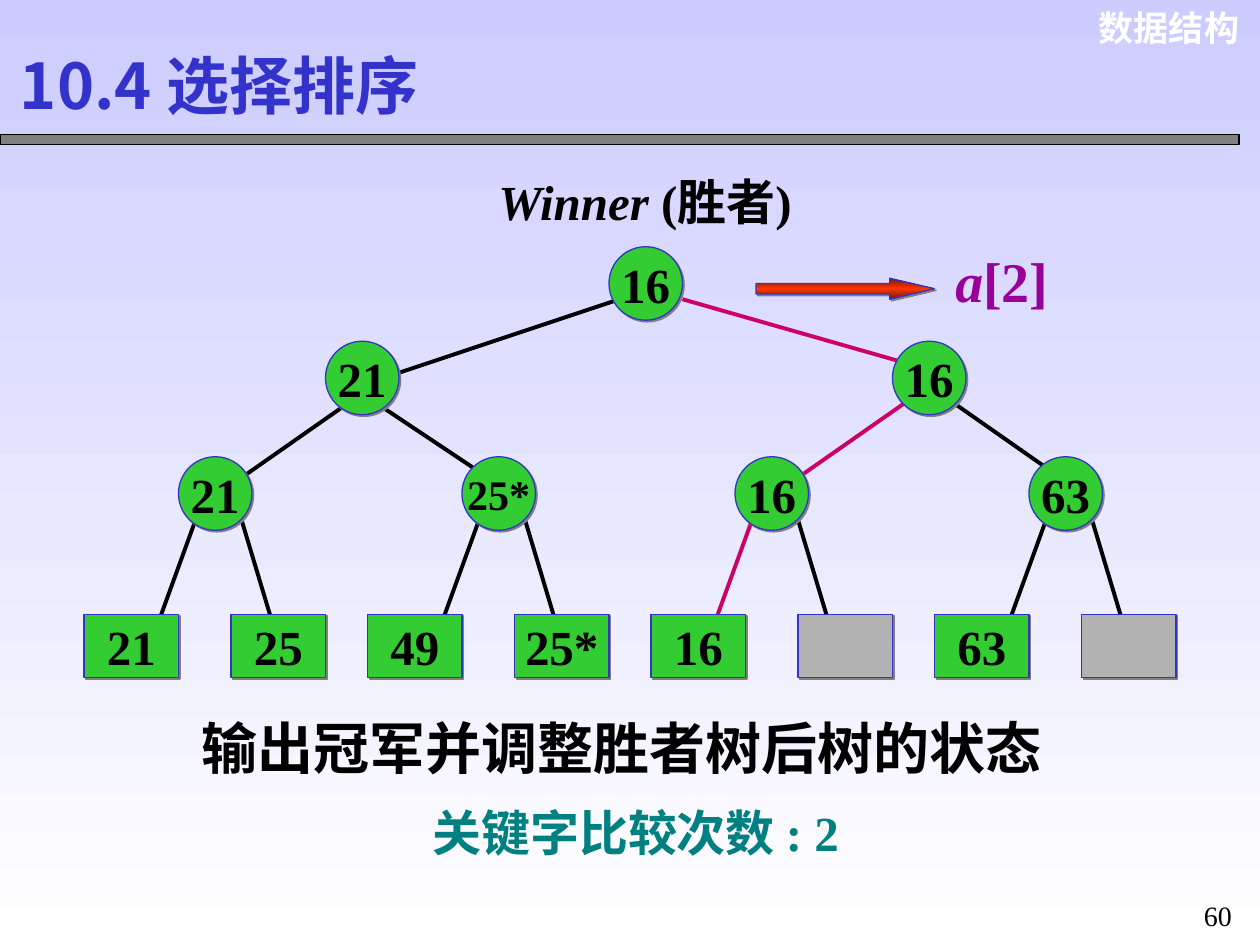
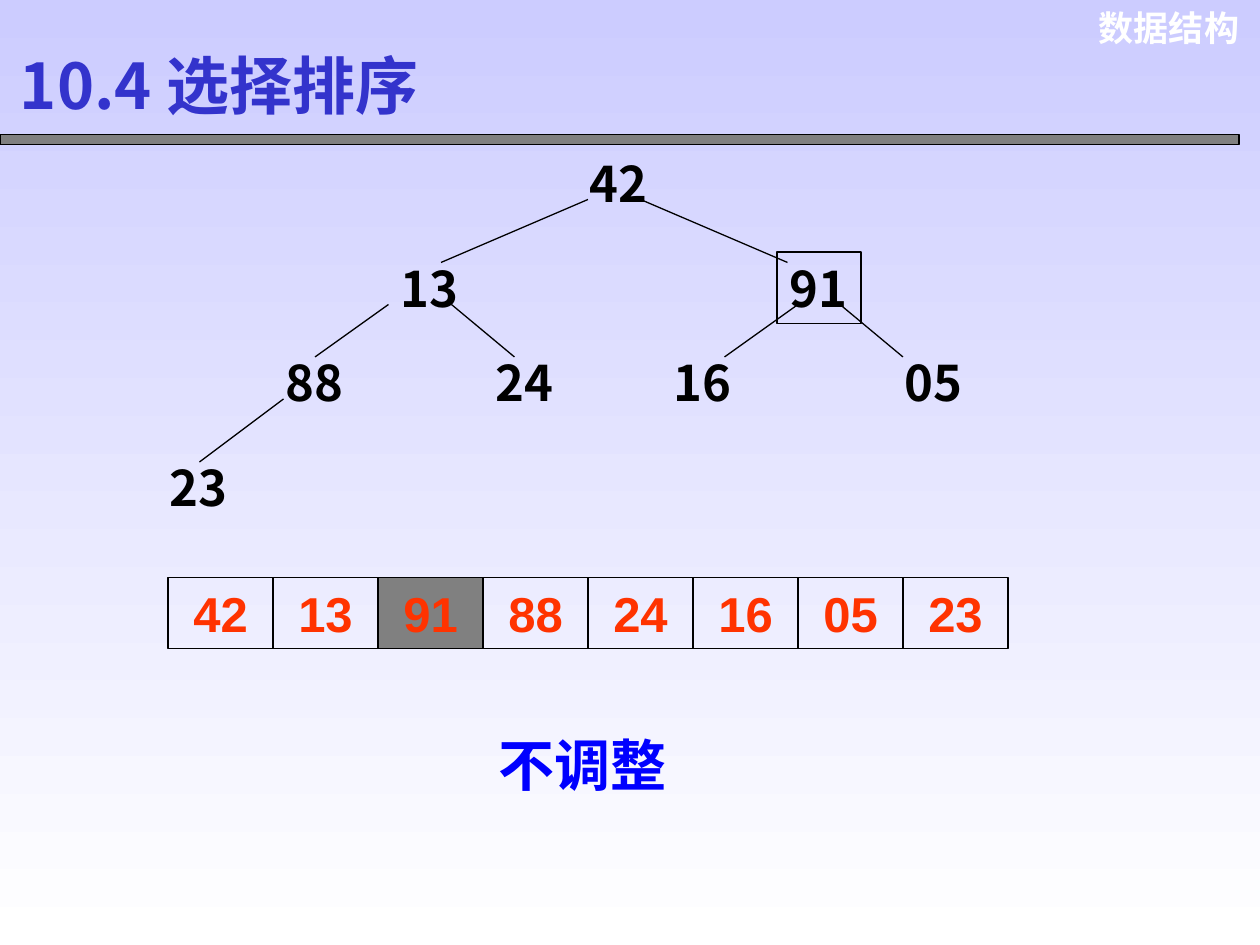
from copy import deepcopy
from dataclasses import dataclass

from lxml import etree
from pptx import Presentation
from pptx.dml.color import RGBColor
from pptx.enum.shapes import MSO_CONNECTOR, MSO_SHAPE
from pptx.enum.text import MSO_ANCHOR, MSO_AUTO_SIZE, PP_ALIGN
from pptx.oxml.ns import qn
from pptx.util import Pt

EMU_PER_PX = 7620
STRAIGHT = MSO_CONNECTOR.STRAIGHT
RECTANGLE, OVAL, RIGHT_ARROW = MSO_SHAPE.RECTANGLE, MSO_SHAPE.OVAL, MSO_SHAPE.RIGHT_ARROW
LEFT, CENTER, RIGHT = PP_ALIGN.LEFT, PP_ALIGN.CENTER, PP_ALIGN.RIGHT
TOP, MIDDLE = MSO_ANCHOR.TOP, MSO_ANCHOR.MIDDLE
FIXED_SIZE = MSO_AUTO_SIZE.NONE


@dataclass(frozen=True)
class Theme:
    black: str = "000000"
    white: str = "FFFFFF"
    sky: str = "CCCCFF"
    gray: str = "808080"
    empty_leaf: str = "B2B2B2"
    indigo: str = "3333CC"
    green: str = "33CC33"
    crimson: str = "CC0066"
    purple: str = "990099"
    teal: str = "008080"
    blue: str = "0000FF"
    scarlet: str = "FF3300"
    dark_red: str = "761800"
    sans: str = "Noto Sans CJK SC"
    serif: str = "Times New Roman"
    arial: str = "Arial"
    title_size: int = 36
    caption_size: int = 32
    body_size: int = 28
    small_size: int = 24
    header_size: int = 20
    page_size: int = 16
    thin: float = 0.75
    thick: float = 2.25


THEME = Theme()


@dataclass(frozen=True)
class Box:
    left: int
    top: int
    width: int
    height: int


@dataclass(frozen=True)
class Style:
    size: int = THEME.body_size
    font: str = THEME.serif
    color: str = THEME.black
    bold: bool = True
    align: PP_ALIGN = LEFT
    anchor: MSO_ANCHOR = TOP
    wrap: bool = False


@dataclass(frozen=True)
class Label:
    box: Box
    text: str
    style: Style
    italic_prefix: str = ""


@dataclass(frozen=True)
class Branch:
    start: tuple[int, int]
    end: tuple[int, int]
    color: str = THEME.black


@dataclass(frozen=True)
class Node:
    left: int
    top: int
    text: str
    size: int = THEME.body_size


HEADER_STYLE = Style(THEME.header_size, THEME.arial, THEME.white, align=RIGHT, wrap=True)
TITLE_STYLE = Style(THEME.title_size, THEME.sans, THEME.indigo, anchor=MIDDLE, wrap=True)
KEY_STYLE = Style(font=THEME.sans)
CELL_STYLE = Style(font=THEME.arial, color=THEME.scarlet, align=CENTER)

CIRCLE_SIZE = 70
LEAF_WIDTH, LEAF_HEIGHT, LEAF_TOP = 90, 60, 585
MATCHES = [
    Node(580, 235, "16"),
    Node(310, 325, "21"),
    Node(850, 325, "16"),
    Node(170, 435, "21"),
    Node(440, 435, "25*", THEME.small_size),
    Node(700, 435, "16"),
    Node(980, 435, "63"),
]
WINNING_LEAF_PARENT = 700
LEAVES = {80: "21", 220: "25", 350: "49", 490: "25*", 620: "16", 760: "", 890: "63", 1030: ""}
UPPER_BRANCHES = [
    Branch((650, 285), (860, 345), THEME.crimson),
    Branch((380, 355), (590, 285)),
    Branch((860, 385), (760, 455), THEME.crimson),
    Branch((360, 385), (450, 445)),
    Branch((910, 385), (1010, 455)),
    Branch((330, 385), (230, 455)),
]
WINNER_LABELS = [
    Label(Box(463, 157, 326, 68), "(胜者)", Style(), "Winner "),
    Label(Box(898, 229, 113, 77), "[2]", Style(THEME.caption_size, color=THEME.purple), "a"),
    Label(Box(180, 674, 865, 77), "输出冠军并调整胜者树后树的状态", Style(THEME.caption_size, wrap=True)),
    Label(Box(400, 758, 446, 68), "关键字比较次数 : 2", Style(color=THEME.teal)),
]

KEY_WIDTH, CELL_WIDTH, ROW_HEIGHT = 80, 100, 68
HEAP_KEYS = [
    Node(550, 140, "42"),
    Node(370, 240, "13"),
    Node(740, 240, "91"),
    Node(260, 330, "88"),
    Node(460, 330, "24"),
    Node(630, 330, "16"),
    Node(850, 330, "05"),
    Node(150, 430, "23"),
]
CURRENT_KEY = "91"
HEAP_BRANCHES = [
    Branch((560, 190), (420, 250)),
    Branch((610, 190), (750, 250)),
    Branch((370, 290), (300, 340)),
    Branch((430, 290), (490, 340)),
    Branch((760, 290), (690, 340)),
    Branch((800, 290), (860, 340)),
    Branch((270, 380), (190, 440)),
]


def px(length: int) -> int:
    return length * EMU_PER_PX


def rgb(color: str) -> RGBColor:
    return RGBColor.from_string(color)


def place(box: Box) -> list[int]:
    return [px(length) for length in (box.left, box.top, box.width, box.height)]


def write(shape, text: str, style: Style, italic_prefix: str = "") -> None:
    text_frame = shape.text_frame
    text_frame.auto_size = FIXED_SIZE
    text_frame.word_wrap = style.wrap
    text_frame.vertical_anchor = style.anchor
    text_frame.text = italic_prefix or text
    paragraph = text_frame.paragraphs[0]
    paragraph.alignment = style.align
    if italic_prefix:
        paragraph.runs[0].font.italic = True
        paragraph.add_run().text = text
    for run in paragraph.runs:
        run.font.size = Pt(style.size)
        run.font.bold = style.bold
        run.font.color.rgb = rgb(style.color)
        run.font.name = style.font
        east_asian = etree.SubElement(run.font._element, qn("a:ea"))
        east_asian.set("typeface", THEME.sans)


def add_label(slide, label: Label):
    shape = slide.shapes.add_textbox(*place(label.box))
    write(shape, label.text, label.style, label.italic_prefix)
    return shape


def add_block(slide, kind: MSO_SHAPE, box: Box, fill: str, line: str):
    shape = slide.shapes.add_shape(kind, *place(box))
    shape.shadow.inherit = False
    if fill:
        shape.fill.solid()
        shape.fill.fore_color.rgb = rgb(fill)
    else:
        shape.fill.background()
    shape.line.color.rgb = rgb(line)
    shape.line.width = Pt(THEME.thin)
    return shape


def cast_shadow(shape) -> None:
    effects = shape._element.spPr.find(qn("a:effectLst"))
    shadow = etree.SubElement(effects, qn("a:outerShdw"), dist=str(Pt(1.4)), dir="2700000")
    etree.SubElement(shadow, qn("a:srgbClr"), val=THEME.gray)


def add_branch(slide, branch: Branch, width: float) -> None:
    points = [px(value) for value in (*branch.start, *branch.end)]
    connector = slide.shapes.add_connector(STRAIGHT, *points)
    connector.line.color.rgb = rgb(branch.color)
    connector.line.width = Pt(width)
    etree.SubElement(connector._element.spPr, qn("a:effectLst"))


def fill_downward(fill, first: str, last: str) -> None:
    fill.gradient()
    fill.gradient_angle = 270
    for stop, color, position in zip(fill.gradient_stops, (first, last), (0, 1)):
        stop.color.rgb = rgb(color)
        stop.position = position


def add_tree_block(slide, kind: MSO_SHAPE, box: Box, text: str, size: int) -> None:
    shape = add_block(slide, kind, box, THEME.green if text else THEME.empty_leaf, THEME.indigo)
    cast_shadow(shape)
    if text:
        write(shape, text, Style(size, align=CENTER, anchor=MIDDLE))


def add_output_arrow(slide) -> None:
    arrow = add_block(slide, RIGHT_ARROW, Box(720, 265, 170, 20), THEME.scarlet, THEME.indigo)
    cast_shadow(arrow)
    arrow.adjustments[0], arrow.adjustments[1] = 0.5, 2.13
    fill_downward(arrow.fill, THEME.dark_red, THEME.dark_red)
    stops = arrow._element.spPr.find(qn("a:gradFill")).find(qn("a:gsLst"))
    stops.insert(1, deepcopy(stops[0]))
    middle = arrow.fill.gradient_stops[1]
    middle.position = 0.5
    middle.color.rgb = rgb(THEME.scarlet)


def add_framed_slide(presentation):
    slide = presentation.slides.add_slide(presentation.slide_layouts[5])
    title = slide.shapes.title
    title.left, title.top, title.width, title.height = place(Box(7, 35, 446, 90))
    write(title, "10.4 选择排序", TITLE_STYLE)
    add_label(slide, Label(Box(1028, 0, 164, 52), "数据结构", HEADER_STYLE))
    add_block(slide, RECTANGLE, Box(0, 128, 1180, 10), THEME.gray, THEME.black)
    return slide


def build_winner_tree(presentation) -> None:
    slide = add_framed_slide(presentation)
    branches = list(UPPER_BRANCHES)
    for match in MATCHES[3:]:
        left = match.left
        color = THEME.crimson if left == WINNING_LEAF_PARENT else THEME.black
        branches.append(Branch((left + 20, 485), (left - 20, 595), color))
        branches.append(Branch((left + 60, 495), (left + 90, 595)))
    for branch in branches:
        add_branch(slide, branch, THEME.thick)
    for match in MATCHES:
        box = Box(match.left, match.top, CIRCLE_SIZE, CIRCLE_SIZE)
        add_tree_block(slide, OVAL, box, match.text, match.size)
    for left, text in LEAVES.items():
        box = Box(left, LEAF_TOP, LEAF_WIDTH, LEAF_HEIGHT)
        add_tree_block(slide, RECTANGLE, box, text, THEME.body_size)
    add_output_arrow(slide)
    for label in WINNER_LABELS:
        add_label(slide, label)
    page_style = Style(THEME.page_size, bold=False, align=CENTER, wrap=True)
    page = add_label(slide, Label(Box(1130, 840, 60, 54), "60", page_style))
    page.text_frame.paragraphs[0].line_spacing = 1.3


def build_heap(presentation) -> None:
    slide = add_framed_slide(presentation)
    for key in HEAP_KEYS:
        box = Box(key.left, key.top, KEY_WIDTH, ROW_HEIGHT)
        if key.text == CURRENT_KEY:
            write(add_block(slide, RECTANGLE, box, "", THEME.black), key.text, KEY_STYLE)
        else:
            add_label(slide, Label(box, key.text, KEY_STYLE))
    for branch in HEAP_BRANCHES:
        add_branch(slide, branch, THEME.thin)
    for index, key in enumerate(HEAP_KEYS):
        box = Box(160 + index * CELL_WIDTH, 550, CELL_WIDTH, ROW_HEIGHT)
        fill = THEME.gray if key.text == CURRENT_KEY else ""
        write(add_block(slide, RECTANGLE, box, fill, THEME.black), key.text, CELL_STYLE)
    verdict_style = Style(THEME.caption_size, THEME.sans, THEME.blue, align=CENTER, wrap=True)
    add_label(slide, Label(Box(380, 690, 350, 77), "不调整", verdict_style))


def main() -> None:
    presentation = Presentation()
    presentation.slide_width, presentation.slide_height = px(1200), px(900)
    fill_downward(presentation.slide_master.background.fill, THEME.sky, THEME.white)
    build_winner_tree(presentation)
    build_heap(presentation)
    presentation.save("out.pptx")


if __name__ == "__main__":
    main()
